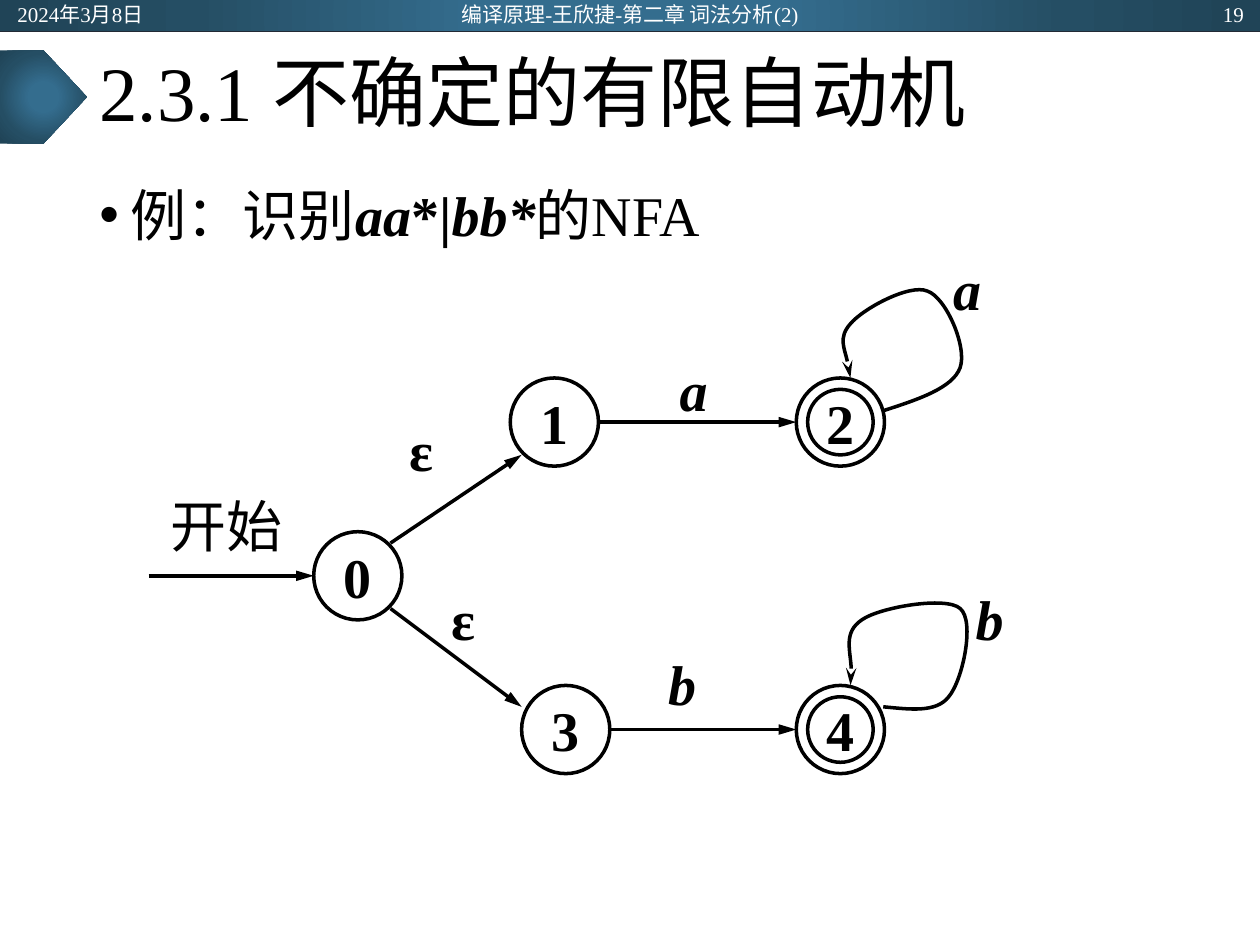
"""Build the slide on nondeterministic finite automata."""
import lxml.etree
import pptx
import pptx.dml.color
import pptx.enum.shapes
import pptx.enum.text
import pptx.oxml
import pptx.oxml.ns
import pptx.util

Inches = pptx.util.Inches
Pt = pptx.util.Pt
qn = pptx.oxml.ns.qn
SHAPES = pptx.enum.shapes.MSO_SHAPE
ALIGN = pptx.enum.text.PP_ALIGN
MIDDLE = pptx.enum.text.MSO_ANCHOR.MIDDLE
TOP = pptx.enum.text.MSO_ANCHOR.TOP

FONT = "Times New Roman"
BLACK, WHITE, RULE = "000000", "FFFFFF", "222A35"
GRADIENT = [(0, "346D8E"), (23, "346D8E"), (69, "254E64"), (97, "204457")]
RADIUS, INNER_RADIUS, DIAGONAL = 0.35, 0.26, 0.26
LABEL_INSETS = (0.04, 0.02)

HEADER = [
    ("2024年3月8日", 0.04, 2.25, ALIGN.LEFT),
    ("编译原理-王欣捷-第二章 词法分析(2)", 3.31, 3.38, ALIGN.CENTER),
    ("19", 7.72, 2.25, ALIGN.RIGHT),
]
TITLE = "2.3.1 不确定的有限自动机"
EXAMPLE = [
    ("例：识别", False, False),
    ("aa", True, True),
    ("*|", True, False),
    ("bb*", True, True),
    ("的NFA", False, False),
]
STATES = {
    "0": (2.84, 4.57),
    "1": (4.4, 3.35),
    "2": (6.67, 3.35),
    "3": (4.49, 5.79),
    "4": (6.67, 5.79),
}
ACCEPTING = ("2", "4")
EDGES = [
    ("0", (DIAGONAL, -DIAGONAL), "1", (-DIAGONAL, DIAGONAL)),
    ("0", (DIAGONAL, DIAGONAL), "3", (-RADIUS, -0.18)),
    ("1", (RADIUS, 0), "2", (-RADIUS, 0)),
    ("3", (RADIUS, 0), "4", (-RADIUS, 0)),
]
START_X = 1.18
LOOPS = [
    [(7.01, 3.26), (7.29, 3.17), (7.56, 3.08), (7.62, 2.92), (7.68, 2.76),
     (7.51, 2.36), (7.36, 2.31), (7.22, 2.25), (6.85, 2.45), (6.75, 2.57),
     (6.65, 2.68), (6.75, 2.92), (6.75, 3)],
    [(7.01, 5.61), (7.22, 5.63), (7.43, 5.66), (7.53, 5.53), (7.64, 5.4),
     (7.74, 4.93), (7.62, 4.83), (7.51, 4.73), (6.98, 4.82), (6.84, 4.92),
     (6.69, 5.02), (6.78, 5.28), (6.75, 5.44)],
]
LABELS = [
    ("开始", 1.3, 3.87, 0.99, False, False),
    ("ε", 3.2, 3.27, 0.29, True, False),
    ("ε", 3.53, 4.61, 0.29, True, False),
    ("a", 5.35, 2.79, 0.31, True, True),
    ("b", 5.26, 5.13, 0.31, True, True),
    ("a", 7.52, 1.99, 0.31, True, True),
    ("b", 7.7, 4.61, 0.31, True, True),
]


def color(value):
    return pptx.dml.color.RGBColor.from_string(value)


def set_text(shape, runs, size, fill=BLACK, align=ALIGN.LEFT, anchor=MIDDLE,
             insets=(0.1, 0.05), wrap=True):
    frame = shape.text_frame
    frame.word_wrap = wrap
    frame.vertical_anchor = anchor
    frame.margin_left = frame.margin_right = Inches(insets[0])
    frame.margin_top = frame.margin_bottom = Inches(insets[1])
    paragraph = frame.paragraphs[0]
    paragraph.alignment = align
    for text, bold, italic in runs:
        run = paragraph.add_run()
        run.text = text
        run.font.name, run.font.size = FONT, Pt(size)
        run.font.bold, run.font.italic = bold, italic
        run.font.color.rgb = color(fill)
    return paragraph


def add_text(slide, box, runs, size, **options):
    shape = slide.shapes.add_textbox(*map(Inches, box))
    return set_text(shape, runs, size, **options)


def add_gradient_shape(slide, kind, box):
    shape = slide.shapes.add_shape(kind, *map(Inches, box))
    shape.shadow.inherit = False
    shape.line.fill.background()
    shape.fill.background()
    stops = "".join(
        f'<a:gs pos="{position * 1000}"><a:srgbClr val="{value}"/></a:gs>'
        for position, value in GRADIENT)
    gradient = pptx.oxml.parse_xml(
        f'<a:gradFill {pptx.oxml.ns.nsdecls("a")} rotWithShape="1"><a:gsLst>{stops}</a:gsLst>'
        '<a:path path="circle"><a:fillToRect l="50000" t="50000" r="50000" b="50000"/>'
        '</a:path></a:gradFill>')
    properties = shape.element.spPr
    properties.replace(properties.find(qn("a:noFill")), gradient)


def style_line(shape, width=2, value=BLACK, arrow=None):
    shape.line.color.rgb = color(value)
    shape.line.width = Pt(width)
    if arrow:
        line = shape.element.spPr.find(qn("a:ln"))
        lxml.etree.SubElement(line, qn("a:tailEnd"), type=arrow, len="lg")


def add_line(slide, start, end, **style):
    line = slide.shapes.add_connector(
        pptx.enum.shapes.MSO_CONNECTOR.STRAIGHT, *map(Inches, (*start, *end)))
    style_line(line, **style)
    lxml.etree.SubElement(line.element.spPr, qn("a:effectLst"))


def add_circle(slide, center, radius):
    x, y = center
    circle = slide.shapes.add_shape(
        SHAPES.OVAL, *map(Inches, (x - radius, y - radius, 2 * radius, 2 * radius)))
    circle.shadow.inherit = False
    circle.fill.background()
    style_line(circle)
    return circle


def add_loop(slide, points):
    start, *controls = [(Inches(x), Inches(y)) for x, y in points]
    builder = slide.shapes.build_freeform(*start)
    builder.add_line_segments(controls, close=False)
    loop = builder.convert_to_shape()
    loop.shadow.inherit = False
    loop.fill.background()
    style_line(loop, arrow="stealth")
    outline = next(loop.element.iter(qn("a:path")))
    segments = outline.findall(qn("a:lnTo"))
    for first in range(0, len(segments), 3):
        curve = lxml.etree.SubElement(outline, qn("a:cubicBezTo"))
        for segment in segments[first:first + 3]:
            curve.append(segment[0])
            outline.remove(segment)


def add_bullet(paragraph):
    properties = paragraph._p.get_or_add_pPr()
    properties.set("marL", str(Inches(0.25)))
    properties.set("indent", str(-Inches(0.25)))
    lxml.etree.SubElement(properties, qn("a:buFont"), typeface="Arial")
    lxml.etree.SubElement(properties, qn("a:buChar"), char="•")


def main():
    presentation = pptx.Presentation()
    presentation.slide_width, presentation.slide_height = Inches(10), Inches(7.5)
    slide = presentation.slides.add_slide(presentation.slide_layouts[6])

    add_gradient_shape(slide, SHAPES.RECTANGLE, (0, 0, 10, 0.25))
    add_line(slide, (0, 0.25), (10, 0.25), width=0.5, value=RULE)
    add_gradient_shape(slide, SHAPES.PENTAGON, (0, 0.4, 0.69, 0.74))
    for text, left, width, align in HEADER:
        add_text(slide, (left, 0.01, width, 0.2), [(text, False, False)], 12,
                 fill=WHITE, align=align)

    title = add_text(slide, (0.69, 0.25, 8.62, 1.04), [(TITLE, False, False)], 44)
    title.line_spacing = 0.9
    add_bullet(add_text(slide, (0.69, 1.38, 8.62, 5.38), EXAMPLE, 32, anchor=TOP))

    for name, center in STATES.items():
        circle = add_circle(slide, center, RADIUS)
        set_text(circle, [(name, True, False)], 32, align=ALIGN.CENTER,
                 insets=LABEL_INSETS, wrap=False)
        if name in ACCEPTING:
            add_circle(slide, center, INNER_RADIUS)

    x, y = STATES["0"]
    add_line(slide, (START_X, y), (x - RADIUS, y), arrow="triangle")
    for source, leave, target, arrive in EDGES:
        start = map(sum, zip(STATES[source], leave))
        end = map(sum, zip(STATES[target], arrive))
        add_line(slide, start, end, arrow="triangle")
    for points in LOOPS:
        add_loop(slide, points)
    for text, left, top, width, bold, italic in LABELS:
        add_text(slide, (left, top, width, 0.59), [(text, bold, italic)], 32,
                 align=ALIGN.CENTER, insets=LABEL_INSETS, wrap=False)

    presentation.save("out.pptx")


if __name__ == "__main__":
    main()
